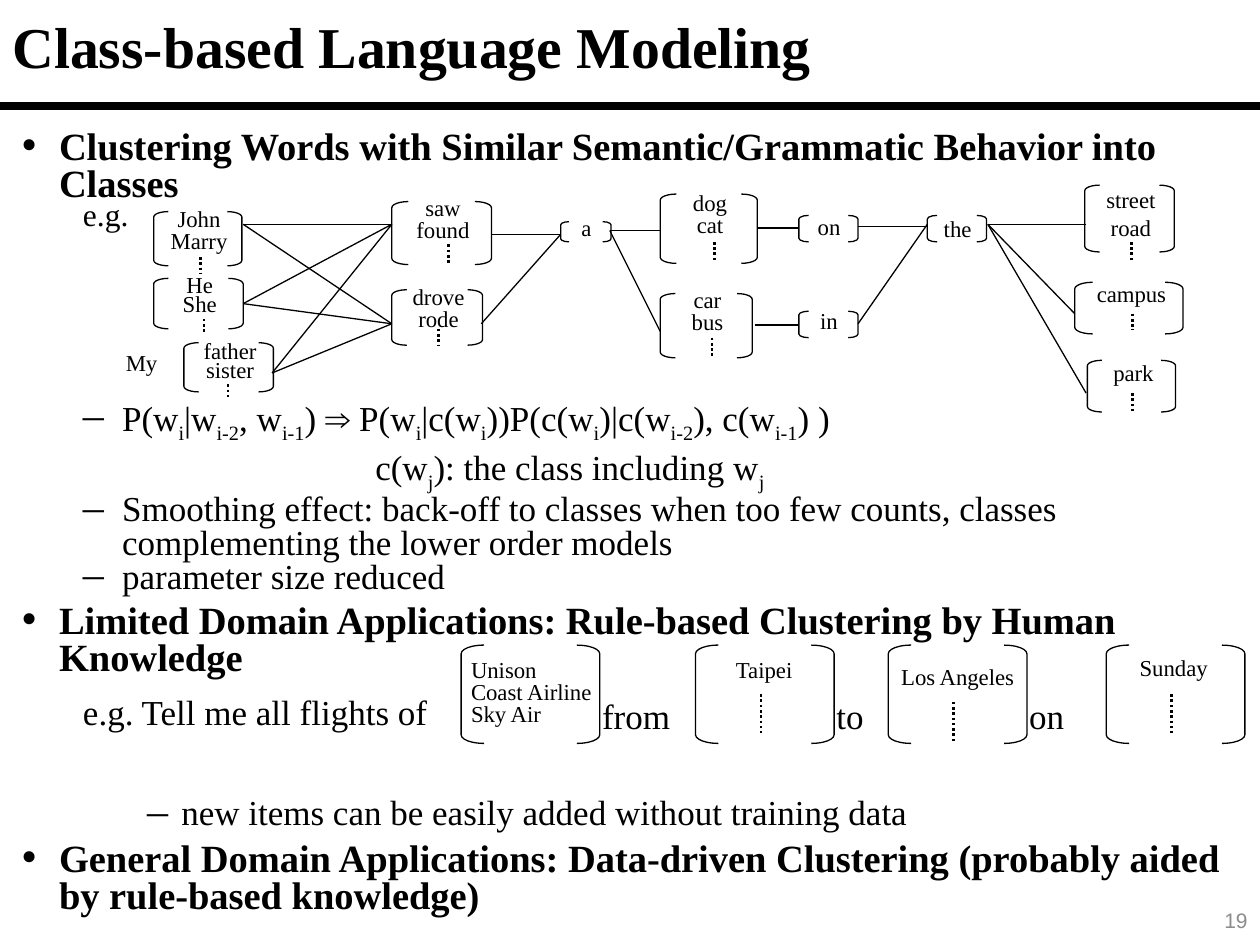
from collections import namedtuple

from lxml import etree
from pptx import Presentation
from pptx.dml.color import RGBColor
from pptx.enum import dml, shapes, text
from pptx.oxml import ns
from pptx.util import Inches, Pt

SERIF = "Times New Roman"
BLACK = "000000"
BRACKET_SHARE = 0.165

# Boxes are left, top, width, height in inches; label and dots are relative to them:
# label is (dx, dy, width, height), dots is (dx, dy, length).
WordClass = namedtuple("WordClass", "box words label dots spacing align",
                       defaults=(None, (0.8,), "CENTER"))

WORD_CLASSES = [
    WordClass((1.22, 1.68, 0.7, 0.43), ["John", "Marry"], (0.01, -0.06, 0.7, 0.33), (0.37, 0.36, 0.13)),
    WordClass((1.22, 2.21, 0.71, 0.4), ["He", "She"], (0.01, -0.05, 0.71, 0.3), (0.4, 0.32, 0.12), (0.7,)),
    WordClass((1.46, 2.72, 0.71, 0.39), ["father", "sister"], (0.01, -0.04, 0.71, 0.3), (0.35, 0.33, 0.11), (0.7,)),
    WordClass((3.11, 1.6, 0.79, 0.5), ["saw", "found"], (0.01, -0.07, 0.79, 0.38), (0.45, 0.34, 0.15)),
    WordClass((3.11, 2.3, 0.72, 0.44), ["drove", "rode"], (0.01, -0.06, 0.72, 0.33), (0.37, 0.31, 0.13)),
    WordClass((4.45, 1.76, 0.4, 0.16), ["a"], (0.01, -0.07, 0.39, 0.17)),
    WordClass((5.24, 1.54, 0.77, 0.55), ["dog", "cat"], (0.01, -0.05, 0.77, 0.41), (0.43, 0.38, 0.16)),
    WordClass((5.24, 2.33, 0.73, 0.51), ["car", "bus"], (0.01, -0.07, 0.73, 0.39), (0.41, 0.35, 0.15)),
    WordClass((6.34, 1.71, 0.47, 0.21), ["on"], (0.01, -0.03, 0.46, 0.22)),
    WordClass((6.34, 2.47, 0.47, 0.21), ["in"], (0.01, -0.04, 0.46, 0.22)),
    WordClass((7.36, 1.71, 0.47, 0.21), ["the"], (0.01, -0.01, 0.46, 0.22)),
    WordClass((8.61, 1.47, 0.71, 0.53), ["street", "road"], (0.01, 0, 0.71, 0.34), (0.37, 0.45, 0.14), (0.8, 1.0)),
    WordClass((8.53, 2.24, 0.86, 0.41), ["campus"], (0.02, -0.03, 0.86, 0.34), (0.46, 0.25, 0.13)),
    WordClass((8.63, 2.86, 0.7, 0.41), ["park"], (0.01, 0, 0.71, 0.34), (0.36, 0.26, 0.14), (0.7,)),
]

FLIGHT_SLOTS = [
    WordClass((3.66, 5.12, 1.1, 0.78), ["Unison", "Coast Airline", "Sky Air"],
              (-0.02, 0.08, 1.2, 0.61), align="LEFT"),
    WordClass((5.52, 5.12, 1.1, 0.78), ["Taipei"], (0.11, 0.08, 0.87, 0.61), (0.52, 0.39, 0.31)),
    WordClass((7.05, 5.12, 1.1, 0.78), ["Los Angeles"], (-0.08, 0.13, 1.26, 0.61), (0.52, 0.45, 0.31)),
    WordClass((8.78, 5.12, 1.1, 0.78), ["Sunday"], (0.1, 0.06, 0.87, 0.61), (0.52, 0.39, 0.31)),
]

# Each start point with the points it leads to
LINKS = [
    ((1.93, 1.78), [(3.11, 1.78), (3.11, 2.57)]),
    ((1.93, 2.41), [(3.11, 1.78), (3.11, 2.57)]),
    ((2.16, 2.96), [(3.11, 1.78), (3.11, 2.57)]),
    ((4.45, 1.86), [(3.9, 1.86), (3.82, 2.57)]),
    ((4.84, 1.83), [(5.24, 1.83), (5.24, 2.63)]),
    ((6.02, 1.81), [(6.34, 1.81)]),
    ((5.99, 2.58), [(6.34, 2.58)]),
    ((6.81, 1.8), [(7.36, 1.8)]),
    ((7.36, 1.78), [(6.81, 2.57)]),
    ((7.84, 1.78), [(8.62, 1.78), (8.53, 2.49), (8.62, 3.12)]),
]

# Text between tildes is subscript.
Item = namedtuple("Item", "words level size before bullet spacing margin",
                  defaults=(None, 0.8, None))
OUTLINE = [
    Item("Clustering Words with Similar Semantic/Grammatic Behavior into Classes", 0, 22, 4, "•"),
    Item("e.g.", 1, 18, 0, spacing=0.7),
    Item("P(w~i~|w~i-2~, w~i-1~) ⇒ P(w~i~|c(w~i~))P(c(w~i~)|c(w~i-2~), c(w~i-1~) )", 1, 20, 97, "–"),
    Item("c(w~j~): the class including w~j~", 1, 20, 6, margin=(2.81, 0)),
    Item("Smoothing effect: back-off to classes when too few counts, classes "
         "complementing the lower order models", 1, 20, 4, "–"),
    Item("parameter size reduced", 1, 20, 0, "–"),
    Item("Limited Domain Applications: Rule-based Clustering by Human Knowledge", 0, 22, 5, "•"),
    Item("e.g. Tell me all flights of", 1, 20, 11.5),
    Item("new items can be easily added without training data", 2, 20, 38, "–"),
    Item("General Domain Applications: Data-driven Clustering (probably aided "
         "by rule-based knowledge)", 0, 22, 6, "•"),
]
LEVEL_MARGINS = [(0.3, -0.3), (0.8, -0.31), (1.27, -0.27)]


def color(value):
    return RGBColor.from_string(value)


def add_run(paragraph, words, size, bold=False, font=SERIF, fill=BLACK):
    run = paragraph.add_run()
    run.text = words
    run.font.name, run.font.size, run.font.bold = font, Pt(size), bold
    run.font.color.rgb = color(fill)
    return run


def add_text_frame(slide, box, anchor="TOP"):
    frame = slide.shapes.add_textbox(*map(Inches, box)).text_frame
    frame.word_wrap = True
    frame.vertical_anchor = text.MSO_ANCHOR[anchor]
    return frame


def next_paragraph(frame, index):
    return frame.add_paragraph() if index else frame.paragraphs[0]


def add_line(slide, start, end, width=0.75, dotted=False):
    line = slide.shapes.add_connector(shapes.MSO_CONNECTOR.STRAIGHT, *map(Inches, start + end))
    line.line.color.rgb = color(BLACK)
    line.line.width = Pt(width)
    if dotted:
        line.line.dash_style = dml.MSO_LINE.ROUND_DOT
    etree.SubElement(line._element.spPr, ns.qn("a:effectLst"))


def add_title(slide, box):
    paragraph = add_text_frame(slide, box, "MIDDLE").paragraphs[0]
    paragraph.line_spacing = 0.9
    add_run(paragraph, "Class-based Language Modeling", 33, bold=True)
    left, top, width, height = box
    rule_top = top + height + 0.05
    add_line(slide, (left, rule_top), (left + width, rule_top), 4.5)


def format_item(paragraph, item):
    """Set the level, spacing, indents and bullet of an outline paragraph."""
    paragraph.level = item.level
    paragraph.line_spacing = item.spacing
    paragraph.space_before = Pt(item.before)
    properties = paragraph._p.get_or_add_pPr()
    margin, indent = item.margin or LEVEL_MARGINS[item.level]
    properties.set("marL", str(Inches(margin)))
    properties.set("indent", str(Inches(indent)))
    if item.bullet:
        etree.SubElement(properties, ns.qn("a:buSzPct"), val="120000")
        etree.SubElement(properties, ns.qn("a:buFont"), typeface=SERIF)
        etree.SubElement(properties, ns.qn("a:buChar"), char=item.bullet)


def add_outline(slide, box):
    frame = add_text_frame(slide, box)
    for index, item in enumerate(OUTLINE):
        paragraph = next_paragraph(frame, index)
        format_item(paragraph, item)
        for position, words in enumerate(item.words.split("~")):
            if words:
                run = add_run(paragraph, words, item.size, bold=item.level == 0)
                if position % 2:
                    run.font._element.set("baseline", "-25000")


def add_word_class(slide, word_class):
    left, top, width, height = word_class.box
    bracket_width = width * BRACKET_SHARE
    kinds = shapes.MSO_SHAPE
    for kind, x in ((kinds.LEFT_BRACKET, left), (kinds.RIGHT_BRACKET, left + width - bracket_width)):
        bracket = slide.shapes.add_shape(kind, *map(Inches, (x, top, bracket_width, height)))
        bracket.adjustments[0] = 0.375
        bracket.shadow.inherit = False
        bracket.fill.background()
        bracket.line.color.rgb = color(BLACK)
        bracket.line.width = Pt(0.75)
    dx, dy, label_width, label_height = word_class.label
    frame = add_text_frame(slide, (left + dx, top + dy, label_width, label_height))
    for index, word in enumerate(word_class.words):
        paragraph = next_paragraph(frame, index)
        paragraph.alignment = text.PP_ALIGN[word_class.align]
        paragraph.line_spacing = word_class.spacing[index % len(word_class.spacing)]
        add_run(paragraph, word, 13)
    if word_class.dots:
        dx, dy, length = word_class.dots
        add_line(slide, (left + dx, top + dy), (left + dx, top + dy + length), 1.5, dotted=True)


def add_word_network(slide):
    for word_class in WORD_CLASSES:
        add_word_class(slide, word_class)
    add_run(add_text_frame(slide, (0.9, 2.72, 0.62, 0.49)).paragraphs[0], "My", 13)
    for start, ends in LINKS:
        for end in ends:
            add_line(slide, start, end)


def add_flight_sentence(slide):
    for slot in FLIGHT_SLOTS:
        add_word_class(slide, slot)
    for slot, word in zip(FLIGHT_SLOTS, ("from", "to", "on")):
        left, top, width, _ = slot.box
        frame = add_text_frame(slide, (left + width - 0.08, top + 0.34, 0.8, 0.4))
        add_run(frame.paragraphs[0], word, 20)


def add_slide_number(slide, box):
    paragraph = add_text_frame(slide, box, "MIDDLE").paragraphs[0]
    paragraph.alignment = text.PP_ALIGN.RIGHT
    add_run(paragraph, "19", 12, font="Arial", fill="8C8C8C")


def main():
    presentation = Presentation()
    presentation.slide_width, presentation.slide_height = Inches(10), Inches(7.5)
    slide = presentation.slides.add_slide(presentation.slide_layouts[6])
    add_title(slide, (0, 0, 10, 0.79))
    add_outline(slide, (0.07, 0.99, 9.81, 6.39))
    add_word_network(slide)
    add_flight_sentence(slide)
    add_slide_number(slide, (7.75, 7.1, 2.25, 0.4))
    presentation.save("out.pptx")


if __name__ == "__main__":
    main()
